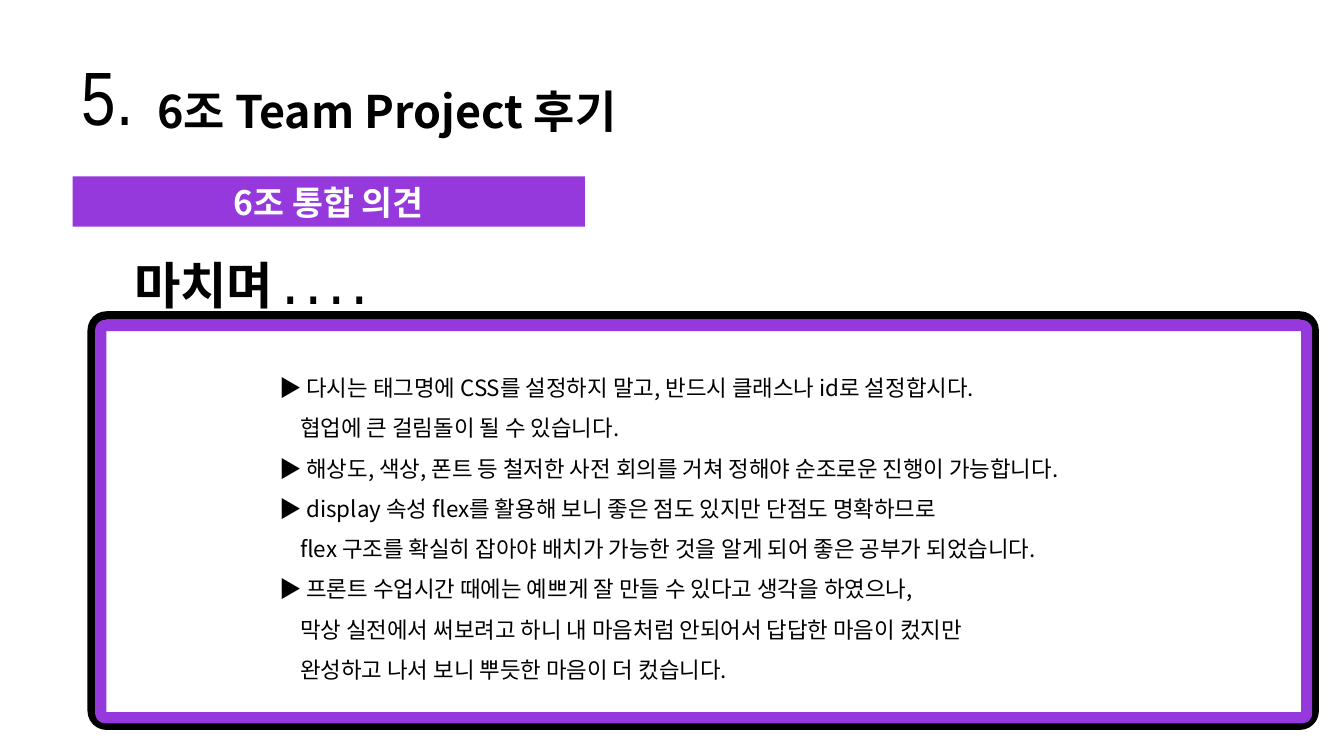
from lxml import etree
from pptx import Presentation
from pptx.dml.color import RGBColor
from pptx.enum.shapes import MSO_SHAPE
from pptx.enum.text import MSO_ANCHOR, PP_ALIGN
from pptx.oxml.ns import qn
from pptx.util import Inches, Pt

LEFT, CENTER = PP_ALIGN.LEFT, PP_ALIGN.CENTER
MIDDLE = MSO_ANCHOR.MIDDLE
RECTANGLE, ROUNDED = MSO_SHAPE.RECTANGLE, MSO_SHAPE.ROUNDED_RECTANGLE
BLACK = RGBColor(0x00, 0x00, 0x00)
WHITE = RGBColor(0xFF, 0xFF, 0xFF)
PURPLE = RGBColor(0x95, 0x39, 0xDC)
KOREAN, NARROW = "Noto Sans CJK KR", "Arial Narrow"

NUMBER = "5."
TITLE = "6조 Team Project 후기"
SECTION = "6조 통합 의견"
CLOSING = "마치며 . . . ."
OPINIONS = [
    ["▶ 다시는 태그명에 CSS를 설정하지 말고, 반드시 클래스나 id로 설정합시다.",
     "협업에 큰 걸림돌이 될 수 있습니다."],
    ["▶ 해상도, 색상, 폰트 등 철저한 사전 회의를 거쳐 정해야 순조로운 진행이 가능합니다."],
    ["▶ display 속성 flex를 활용해 보니 좋은 점도 있지만 단점도 명확하므로",
     "flex 구조를 확실히 잡아야 배치가 가능한 것을 알게 되어 좋은 공부가 되었습니다."],
    ["▶ 프론트 수업시간 때에는 예쁘게 잘 만들 수 있다고 생각을 하였으나,",
     "막상 실전에서 써보려고 하니 내 마음처럼 안되어서 답답한 마음이 컸지만",
     "완성하고 나서 보니 뿌듯한 마음이 더 컸습니다."],
]
CONTINUATION_INDENT = Inches(0.21)

FRAMES = [
    ((0.91, 3.13, 12.13, 4.07), 0.036, WHITE, BLACK, 6),
    ((1, 3.23, 11.96, 3.89), 0.011, None, PURPLE, 8),
]

prs = Presentation()
prs.slide_width, prs.slide_height = Inches(13.33), Inches(7.5)
slide = prs.slides.add_slide(prs.slide_layouts[6])


def write(paragraph, text, size, font=KOREAN, color=BLACK, bold=False, align=LEFT):
    paragraph.text = text
    paragraph.alignment = align
    style = paragraph.font
    style.size, style.bold, style.name = Pt(size), bold, font
    style.color.rgb = color
    latin = paragraph._p.pPr.find(qn("a:defRPr")).find(qn("a:latin"))
    east_asian = etree.Element(qn("a:ea"), typeface=KOREAN)
    latin.addnext(east_asian)


def add_text(box, wrap=True):
    frame = slide.shapes.add_textbox(*map(Inches, box)).text_frame
    frame.word_wrap = wrap
    return frame


def add_panel(kind, box, fill=None):
    panel = slide.shapes.add_shape(kind, *map(Inches, box))
    panel.shadow.inherit = False
    if fill is None:
        panel.fill.background()
    else:
        panel.fill.solid()
        panel.fill.fore_color.rgb = fill
    return panel


write(add_text((1.46, 0.78, 5.68, 0.64)).paragraphs[0], TITLE, 32, bold=True)
write(add_text((0.69, 0.45, 0.75, 1.01), wrap=False).paragraphs[0],
      NUMBER, 54, NARROW, align=CENTER)
write(add_text((0.57, 2.47, 3.81, 0.71)).paragraphs[0],
      CLOSING, 36, NARROW, bold=True, align=CENTER)

for box, corner, fill, line_color, line_width in FRAMES:
    border = add_panel(ROUNDED, box, fill)
    border.adjustments[0] = corner
    border.line.color.rgb = line_color
    border.line.width = Pt(line_width)

opinion_frame = add_text((2.67, 3.53, 8.94, 3.28))
lines = [(line, row > 0) for opinion in OPINIONS for row, line in enumerate(opinion)]
for index, (line, continued) in enumerate(lines):
    paragraph = opinion_frame.add_paragraph() if index else opinion_frame.paragraphs[0]
    write(paragraph, line, 16)
    paragraph.line_spacing = 1.5
    if continued:
        paragraph._p.pPr.set("marL", str(CONTINUATION_INDENT))

section_bar = add_panel(RECTANGLE, (0.72, 1.75, 5.08, 0.5), PURPLE)
section_bar.line.fill.background()
section_bar.text_frame.vertical_anchor = MIDDLE
section_bar.text_frame.word_wrap = True
write(section_bar.text_frame.paragraphs[0], SECTION, 24, color=WHITE, bold=True, align=CENTER)

prs.save("out.pptx")
